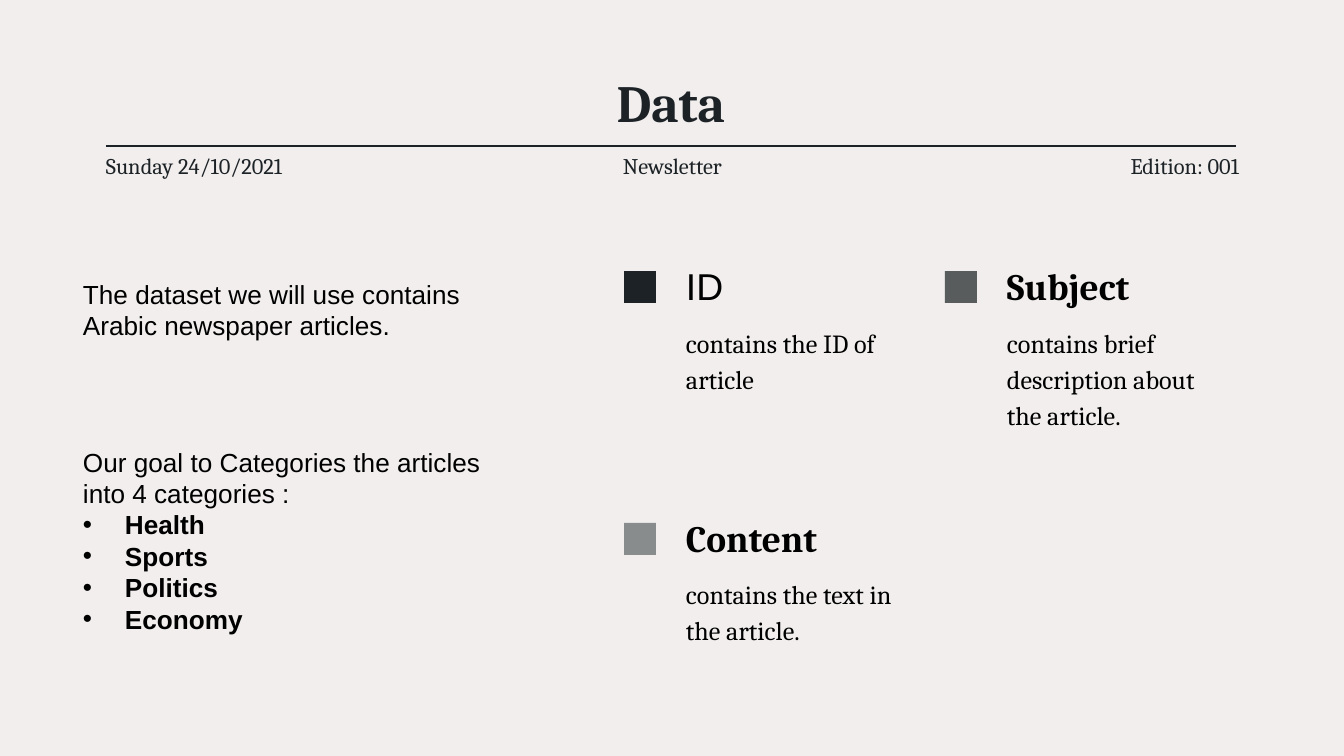
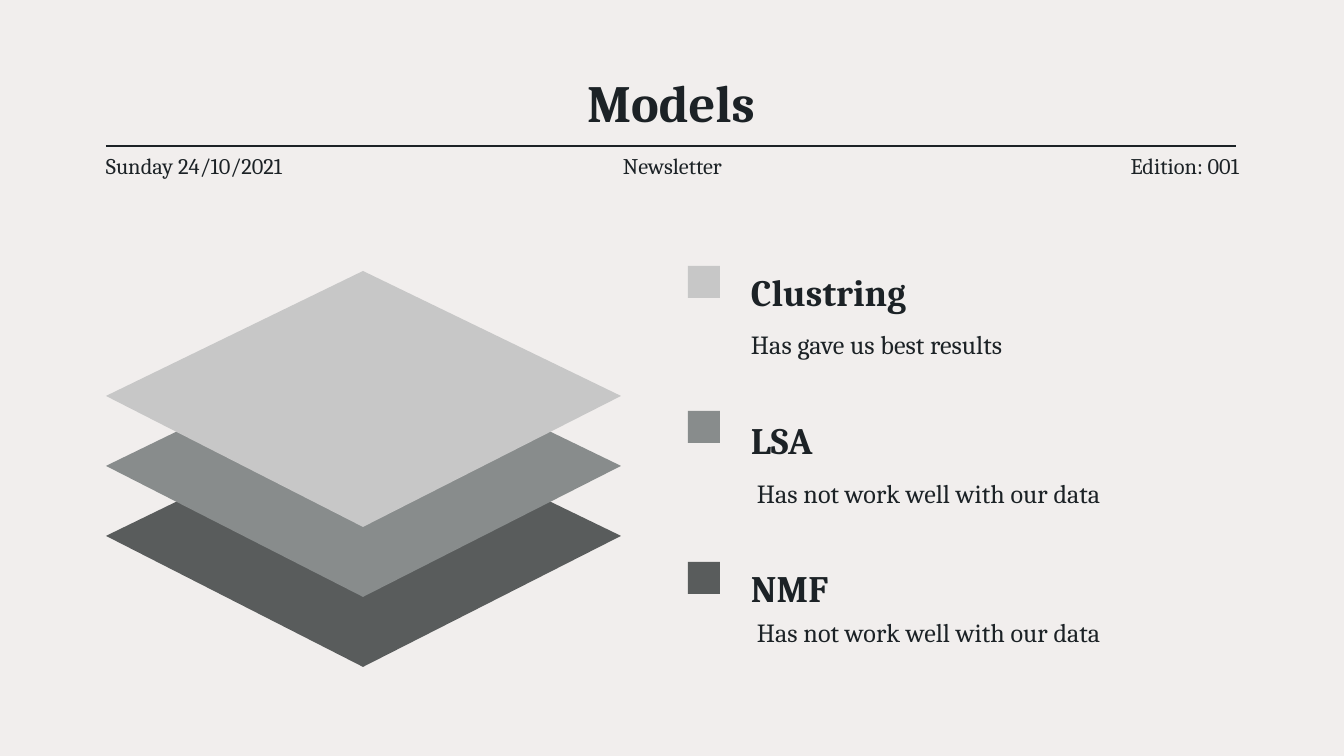
from lxml import etree
from pptx import Presentation
from pptx.dml.color import RGBColor
from pptx.enum.shapes import MSO_CONNECTOR, MSO_SHAPE
from pptx.enum.text import MSO_ANCHOR as Anchor, MSO_AUTO_SIZE as AutoSize, PP_ALIGN as Align
from pptx.oxml.ns import qn
from pptx.util import Pt

# Shared style
SCALE = 914400 / 134.4  # EMU in one px
WIDTH, HEIGHT = 1344, 756
PAPER, INK, BLACK = "F1EEED", "1C2226", "000000"
DARK, MIDDLE, LIGHT = "595C5C", "888C8C", "C7C7C7"
SERIF, SANS = "Cambria", "Arial"
MARGIN, RIGHT, RULE_TOP = 106, 1236, 146
SQUARE = 32

# Shared content
MASTHEAD = [
    ("Sunday 24/10/2021", Align.LEFT),
    ("Newsletter", Align.CENTER),
    ("Edition: 001", Align.RIGHT),
]

# Data slide: fields as heading, font, body, colour, left, heading top, anchor, square top, body top
FIELDS = [
    ("ID", SANS, "contains the ID of article", INK, 624, 263, Anchor.TOP, 271, 323),
    ("Subject", SERIF, "contains brief description about the article.", DARK, 945, 263, Anchor.TOP, 271, 323),
    ("Content", SERIF, "contains the text in the article.", MIDDLE, 624, 509, Anchor.BOTTOM, 523, 574),
]
DATASET = "The dataset we will use contains Arabic newspaper articles."
GOAL = "Our goal to Categories the articles into 4 categories :"
CATEGORIES = ["Health", "Sports", "Politics", "Economy"]

# Models slide: heading, body, colour, square top, body top, body indent
MODELS = [
    ("Clustring", "Has gave us best results", LIGHT, 266, 324, 0),
    ("LSA", "Has not work well with our data", MIDDLE, 411, 473, 6),
    ("NMF", "Has not work well with our data", DARK, 562, 612, 6),
]
MODEL_TOP, MODEL_STEP = 263, 148
LAYER_TOP, LAYER_STEP = 271, 70
LAYER_OUTLINE = [(257, 0), (0, 125), (257, 256), (515, 125)]


def px(length):
    return round(length * SCALE)


def box(*lengths):
    return [px(length) for length in lengths]


def color(value):
    return RGBColor.from_string(value)


def paint(shape, value):
    shape.shadow.inherit = False
    shape.fill.solid()
    shape.fill.fore_color.rgb = color(value)
    shape.line.fill.background()


def style(paragraph, size, ink=INK, font=SERIF, bold=False, align=Align.LEFT):
    paragraph.alignment = align
    paragraph.font.size = Pt(size)
    paragraph.font.name = font
    paragraph.font.bold = bold
    paragraph.font.color.rgb = color(ink)


def indent(paragraph, left, first=0):
    properties = paragraph._p.get_or_add_pPr()
    properties.set("marL", str(px(left)))
    properties.set("indent", str(px(first)))
    return properties


def add_text(slide, place, text, size, anchor=Anchor.TOP, inset=(0, 0), spacing=None, **look):
    frame = slide.shapes.add_textbox(*box(*place)).text_frame
    frame.word_wrap = True
    frame.vertical_anchor = anchor
    frame.margin_left = frame.margin_right = px(inset[0])
    frame.margin_top = frame.margin_bottom = px(inset[1])
    paragraph = frame.paragraphs[0]
    paragraph.text = text
    paragraph.line_spacing = spacing
    style(paragraph, size, **look)
    return frame


def add_square(slide, left, top, value):
    paint(slide.shapes.add_shape(MSO_SHAPE.RECTANGLE, *box(left, top, SQUARE, SQUARE)), value)


def add_page(presentation, heading):
    """Add a slide with title, rule and masthead."""
    slide = presentation.slides.add_slide(presentation.slide_layouts[5])
    slide.background.fill.solid()
    slide.background.fill.fore_color.rgb = color(PAPER)

    title = slide.shapes.title
    title.left, title.top, title.width, title.height = box(107, 71, 1128, 62)
    frame = title.text_frame
    frame.text = heading
    frame.auto_size = AutoSize.NONE
    frame.vertical_anchor = Anchor.MIDDLE
    style(frame.paragraphs[0], 28, bold=True, align=Align.CENTER)

    rule = slide.shapes.add_connector(
        MSO_CONNECTOR.STRAIGHT, *box(MARGIN, RULE_TOP, RIGHT, RULE_TOP))
    rule.line.color.rgb = color(INK)
    rule.line.width = Pt(1.5)
    etree.SubElement(rule._element.spPr, qn("a:effectLst"))

    for column, (text, align) in enumerate(MASTHEAD):
        place = (MARGIN + 453 * column, 153, 227, 26)
        add_text(slide, place, text, 12, Anchor.MIDDLE, align=align)
    return slide


def add_bullet(frame, text):
    paragraph = frame.add_paragraph()
    paragraph.text = text
    style(paragraph, 14, BLACK, SANS, bold=True)
    properties = indent(paragraph, 42, -42)
    etree.SubElement(properties, qn("a:buFont"), typeface=SANS)
    etree.SubElement(properties, qn("a:buChar"), char="•")


def build_data(presentation):
    slide = add_page(presentation, "Data")
    for heading, font, body, value, left, top, anchor, square_top, body_top in FIELDS:
        text_left = left + 62
        add_text(slide, (text_left, top, 227, 51), heading, 20, anchor,
                 ink=BLACK, font=font, bold=font == SERIF)
        add_text(slide, (text_left, body_top, 227, 106), body, 14, spacing=1.15, ink=BLACK)
        add_square(slide, left, square_top, value)

    # Dataset and goal
    for text, top, height in ((DATASET, 271, 77), (GOAL, 439, 235)):
        frame = add_text(slide, (70, top, 438, height), text, 14,
                         inset=(13, 7), ink=BLACK, font=SANS)
        frame.auto_size = AutoSize.SHAPE_TO_FIT_TEXT
    for category in CATEGORIES:
        add_bullet(frame, category)


def build_models(presentation):
    slide = add_page(presentation, "Models")
    # Stacked layers, lowest first
    for row, (_, _, value, *_) in reversed(list(enumerate(MODELS))):
        top = LAYER_TOP + LAYER_STEP * row
        points = [(MARGIN + x, top + y) for x, y in LAYER_OUTLINE]
        builder = slide.shapes.build_freeform(*points[0], scale=SCALE)
        builder.add_line_segments(points[1:], close=True)
        paint(builder.convert_to_shape(), value)

    # Legend
    for row, (heading, body, value, square_top, body_top, left_indent) in enumerate(MODELS):
        add_square(slide, 688, square_top, value)
        add_text(slide, (751, MODEL_TOP + MODEL_STEP * row, 442, 51), heading, 20,
                 Anchor.BOTTOM, spacing=1.15, bold=True)
        frame = add_text(slide, (751, body_top, 442, 73), body, 14, spacing=1.15)
        frame.paragraphs[0].space_after = Pt(16)
        indent(frame.paragraphs[0], left_indent)


def main():
    presentation = Presentation()
    presentation.slide_width, presentation.slide_height = box(WIDTH, HEIGHT)
    build_data(presentation)
    build_models(presentation)
    presentation.save("out.pptx")


if __name__ == "__main__":
    main()
